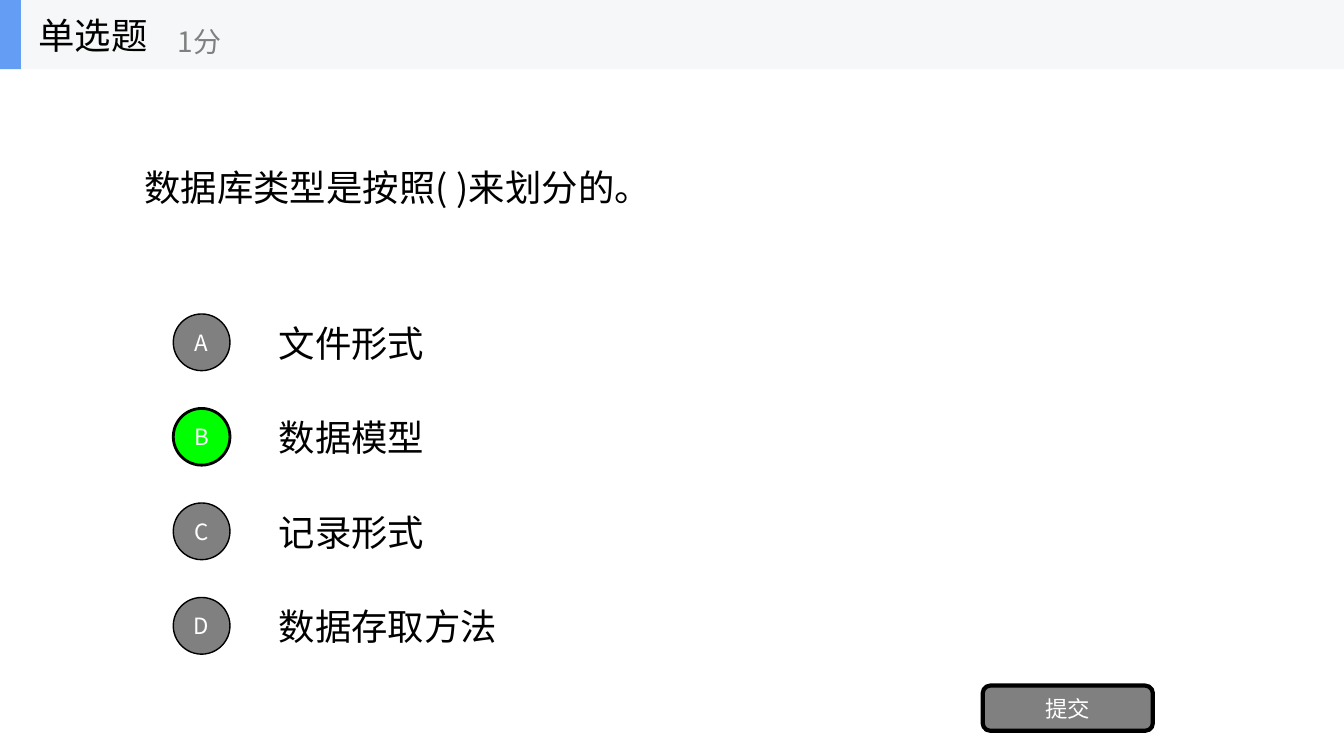
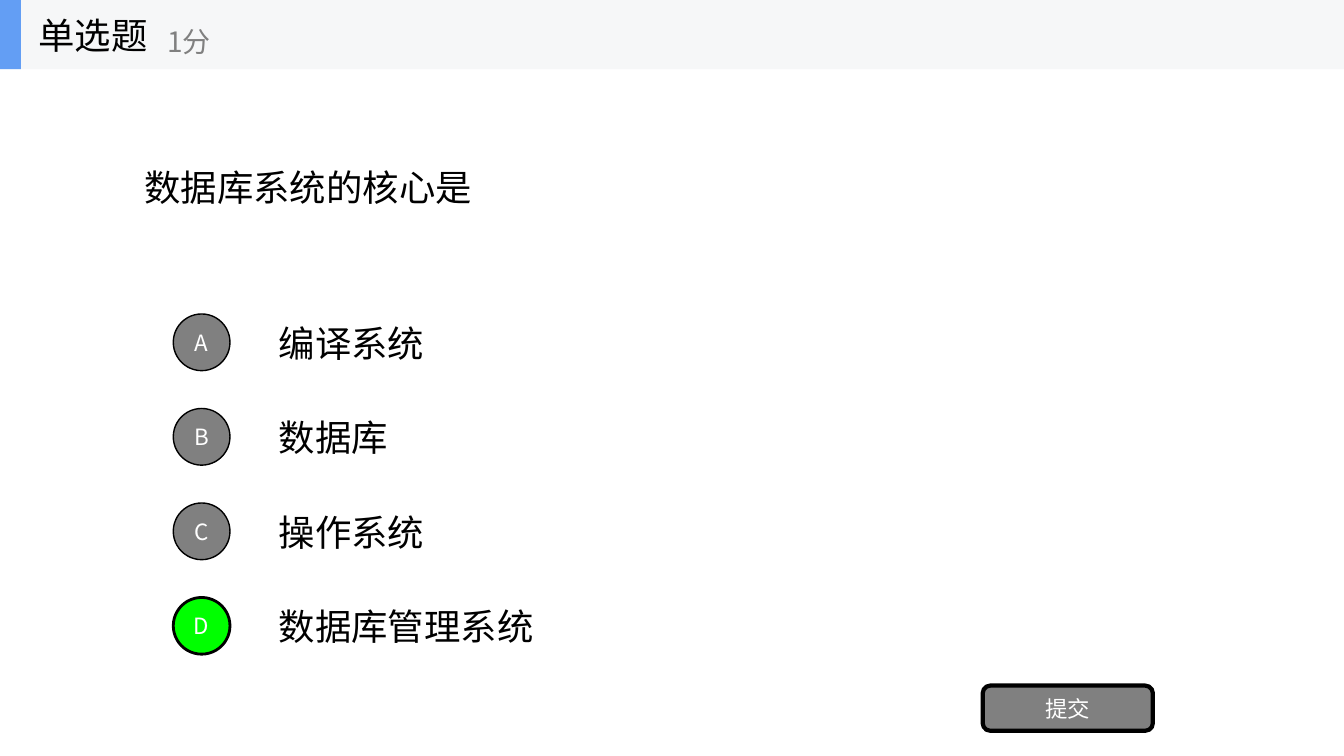
from pptx import Presentation
from pptx.dml.color import RGBColor
from pptx.enum.shapes import MSO_SHAPE as Shape
from pptx.enum.text import MSO_ANCHOR as Anchor, PP_ALIGN as Align
from pptx.oxml.ns import qn
from pptx.util import Pt
from lxml.etree import SubElement

# Content: question, options, right answer, left edge of the score
QUIZ = [
    ("数据库类型是按照( )来划分的。",
     ["文件形式", "数据模型", "记录形式", "数据存取方法"], "B", 160),
    ("数据库系统的核心是",
     ["编译系统", "数据库", "操作系统", "数据库管理系统"], "D", 150),
]
KIND, SCORE, SUBMIT = "单选题", "1分", "提交"

# Style
FONT = "Noto Sans CJK SC"
BLACK = RGBColor(0x00, 0x00, 0x00)
WHITE = RGBColor(0xFF, 0xFF, 0xFF)
GRAY = RGBColor(0x80, 0x80, 0x80)
GREEN = RGBColor(0x00, 0xFF, 0x00)
BLUE = RGBColor(0x63, 0x9E, 0xF4)
PALE = RGBColor(0xF6, 0xF7, 0xF8)

# Layout in px
PX = 9525
WIDTH, HEIGHT = 1280, 720
BAND = 66
TOP, STEP, ROW, DOT = 293, 90, 67, 54


def scale(box):
    return [n * PX for n in box]


def write(shape, text, size, color, align):
    frame = shape.text_frame
    frame.text = text
    frame.word_wrap = True
    frame.vertical_anchor = Anchor.MIDDLE
    para = frame.paragraphs[0]
    para.alignment = align
    for run in para.runs:
        font = run.font
        font.size, font.name = Pt(size), FONT
        font.color.rgb = color
        SubElement(font._element, qn("a:ea")).set("typeface", FONT)


def label(shapes, box, text, size=26, color=BLACK):
    write(shapes.add_textbox(*scale(box)), text, size, color, Align.LEFT)


def block(shapes, kind, box, fill, line=0, text=""):
    shape = shapes.add_shape(kind, *scale(box))
    shape.shadow.inherit = False
    shape.fill.solid()
    shape.fill.fore_color.rgb = fill
    if line:
        shape.line.color.rgb = BLACK
        shape.line.width = Pt(line)
    else:
        shape.line.fill.background()
    if text:
        write(shape, text, 16, WHITE, Align.CENTER)


def header(slide, left):
    shapes = slide.shapes.add_group_shape().shapes
    block(shapes, Shape.RECTANGLE, (0, 0, WIDTH, BAND), PALE)
    block(shapes, Shape.RECTANGLE, (0, 0, 20, BAND), BLUE)
    label(shapes, (27, 0, 200, BAND), KIND)
    label(shapes, (left, 12, 240, 54), SCORE, 20, GRAY)


def build(deck, ask, options, answer, left):
    slide = deck.slides.add_slide(deck.slide_layouts[6])
    shapes = slide.shapes
    label(shapes, (128, BAND, 1024, 225), ask)

    # Options with their letter dots
    for i, (letter, text) in enumerate(zip("ABCD", options)):
        y = TOP + i * STEP
        label(shapes, (256, y, 896, ROW), text)
        fill, line = (GREEN, 2) if letter == answer else (GRAY, 1)
        dot = (165, y + (ROW - DOT) // 2, DOT, DOT)
        block(shapes, Shape.OVAL, dot, fill, line, letter)

    block(shapes, Shape.ROUNDED_RECTANGLE, (936, 653, 162, 43), GRAY, 3, SUBMIT)
    header(slide, left)


def main():
    deck = Presentation()
    deck.slide_width, deck.slide_height = scale((WIDTH, HEIGHT))
    for item in QUIZ:
        build(deck, *item)
    deck.save("out.pptx")


if __name__ == "__main__":
    main()
